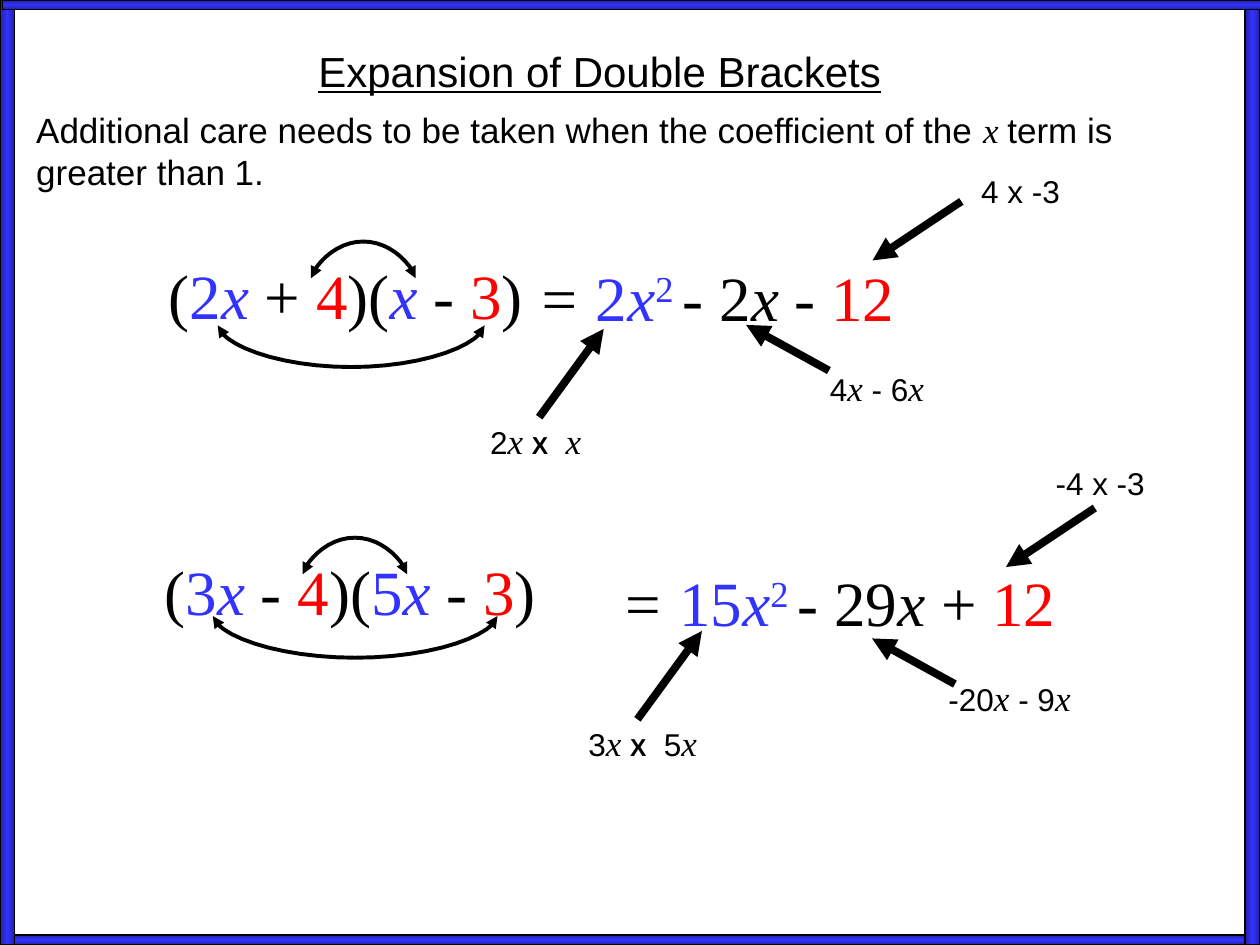
from copy import deepcopy
from math import cos, pi, sin

from lxml.etree import SubElement
from pptx import Presentation
from pptx.dml.color import RGBColor
from pptx.enum.shapes import MSO_CONNECTOR as Link, MSO_SHAPE as Preset
from pptx.enum.text import MSO_AUTO_SIZE as AutoSize
from pptx.oxml.ns import qn
from pptx.util import Cm, Pt

BLACK = RGBColor(0x00, 0x00, 0x00)
BLUE = RGBColor(0x33, 0x33, 0xFF)
NAVY = RGBColor(0x21, 0x21, 0xA8)
RED = RGBColor(0xFF, 0x00, 0x00)

SANS, SERIF = "Arial", "Times New Roman"
WIDTH, HEIGHT = 25.4, 19.05
ARC_STEPS = 24

TITLE = dict(name=SANS, size=Pt(24), underline=True)
BODY = dict(name=SANS, size=Pt(20))
VARIABLE = dict(name=SERIF, size=Pt(20), italic=True)
NOTE = dict(name=SANS, size=Pt(18))
TIMES = dict(name=SANS, size=Pt(14), bold=True)
WIDE = dict(NOTE, spc=500)
MATH = dict(name=SERIF, size=Pt(36))
MATH_ITALIC = dict(MATH, italic=True)
LEAD = dict(MATH, color=BLUE)
LEAD_ITALIC = dict(LEAD, italic=True)
POWER = dict(LEAD, baseline=30000)
CONSTANT = dict(MATH, color=RED)


class Board:
    def __init__(self, prs):
        self.slide = prs.slides.add_slide(prs.slide_layouts[6])
        self.shapes = self.slide.shapes

    def bar(self, x, y, w, h, angle):
        bar = self.shapes.add_shape(Preset.RECTANGLE, Cm(x), Cm(y), Cm(w), Cm(h))
        bar.shadow.inherit = False
        bar.fill.gradient()
        bar.fill.gradient_angle = angle
        stops = bar._element.spPr.find(".//" + qn("a:gsLst"))
        stops.insert(1, deepcopy(stops[0]))
        shades = ((0, NAVY), (0.5, BLUE), (1, NAVY))
        for stop, (position, color) in zip(bar.fill.gradient_stops, shades):
            stop.position = position
            stop.color.rgb = color
        self.stroke(bar.line, 0.75)

    def stroke(self, line, width, ends=()):
        line.color.rgb = BLACK
        line.width = Pt(width)
        for end in ends:
            SubElement(line._get_or_add_ln(), qn("a:" + end), type="triangle")

    def text(self, x, y, w, h, runs):
        box = self.shapes.add_textbox(Cm(x), Cm(y), Cm(w), Cm(h))
        frame = box.text_frame
        frame.word_wrap = True
        frame.auto_size = AutoSize.SHAPE_TO_FIT_TEXT
        for words, style in runs:
            run = frame.paragraphs[0].add_run()
            run.text = words
            run.font.color.rgb = BLACK
            for key, value in style.items():
                if key == "color":
                    run.font.color.rgb = value
                elif key in ("baseline", "spc"):
                    run._r.get_or_add_rPr().set(key, str(value))
                else:
                    setattr(run.font, key, value)

    def arrow(self, x, y, dx, dy):
        arrow = self.shapes.add_connector(
            Link.STRAIGHT, Cm(x), Cm(y), Cm(x + dx), Cm(y + dy))
        self.stroke(arrow.line, 4.5, ["tailEnd"])
        SubElement(arrow._element.spPr, qn("a:effectLst"))

    def arc(self, x, y, span, rise, power):
        points = []
        for step in range(ARC_STEPS + 1):
            turn = pi * step / ARC_STEPS
            height = rise * abs(sin(turn)) ** power
            points.append((Cm(x + span * (1 - cos(turn)) / 2), Cm(y + height)))
        builder = self.shapes.build_freeform(*points[0])
        builder.add_line_segments(points[1:], close=False)
        curve = builder.convert_to_shape()
        curve.shadow.inherit = False
        curve.fill.background()
        self.stroke(curve.line, 2.25, ["headEnd", "tailEnd"])


def factors(a, sign, b):
    return [("(", MATH), (a, LEAD), ("x", LEAD_ITALIC), (f" {sign} ", MATH),
            ("4", CONSTANT), (")(", MATH), (b, LEAD), ("x", LEAD_ITALIC),
            (" - ", MATH), ("3", CONSTANT), (")", MATH)]


def expansion(square, middle, sign):
    return [("= ", MATH_ITALIC), (square, LEAD), ("x", LEAD_ITALIC),
            ("2 ", POWER), (f"- {middle}", MATH), ("x ", MATH_ITALIC),
            (sign, MATH), (" 12", CONSTANT)]


def square_note(a, b):
    return [(a, NOTE), ("x", VARIABLE), (" ", NOTE), ("X", TIMES),
            (" ", WIDE), (b, NOTE), ("x", VARIABLE)]


def middle_note(first, second):
    return [(first, NOTE), ("x", VARIABLE), (f" - {second}", NOTE), ("x", VARIABLE)]


EXAMPLES = [
    dict(
        texts=[
            (3.15, 5.05, 8.74, 1.78, factors("2", "+", "")),
            (10.59, 5.08, 8.53, 1.78, expansion("2", "2", "-")),
            (19.53, 3.35, 2.54, 1.02, [("4 x -3", NOTE)]),
            (16.48, 7.26, 2.92, 1.12, middle_note("4", "6")),
            (9.63, 8.33, 2.92, 1.12, square_note("2", "")),
        ],
        arcs=[(6.27, 5.61, 2.11, -0.74, 1.5), (4.39, 6.56, 5.38, 0.84, 1.2)],
        arrows=[(19.38, 4.06), (16.71, 7.47), (10.87, 8.41)],
    ),
    dict(
        texts=[
            (3.07, 11.02, 8.74, 1.78, factors("3", "-", "5")),
            (12.27, 11.23, 10.46, 1.78, expansion("15", "29", "+")),
            (21.03, 9.22, 2.54, 1.02, [("-4 x -3", NOTE)]),
            (18.87, 13.51, 3.61, 1.12, middle_note("-20", "9")),
            (11.61, 14.43, 2.92, 1.12, square_note("3", "5")),
        ],
        arcs=[(6.1, 11.58, 2.11, -0.74, 1.5), (4.29, 12.42, 5.74, 0.84, 1.2)],
        arrows=[(22.07, 10.24), (19.25, 13.79), (12.85, 14.5)],
    ),
]
ARROW_REACH = [(-1.79, 1.19), (-1.67, -0.92), (1.3, -1.78)]


def main():
    prs = Presentation()
    prs.slide_width, prs.slide_height = Cm(WIDTH), Cm(HEIGHT)
    board = Board(prs)

    board.bar(0, HEIGHT - 0.2, WIDTH, 0.2, 90)
    for x in (0, WIDTH - 0.3):
        board.bar(x, 0, 0.3, HEIGHT, 0)
    board.bar(0.05, 0, WIDTH, 0.2, 90)

    board.text(6.17, 0.79, 12.09, 1.27, [("Expansion of Double Brackets", TITLE)])
    board.text(0.48, 2.06, 23.83, 1.96, [
        ("Additional care needs to be taken when the coefficient of the ", BODY),
        ("x ", VARIABLE), ("term is greater than 1.", BODY)])

    for example in EXAMPLES:
        for x, y, w, h, runs in example["texts"]:
            board.text(x, y, w, h, [run for run in runs if run[0]])
        for arc in example["arcs"]:
            board.arc(*arc)
        for start, reach in zip(example["arrows"], ARROW_REACH):
            board.arrow(*start, *reach)

    prs.save("out.pptx")


if __name__ == "__main__":
    main()
